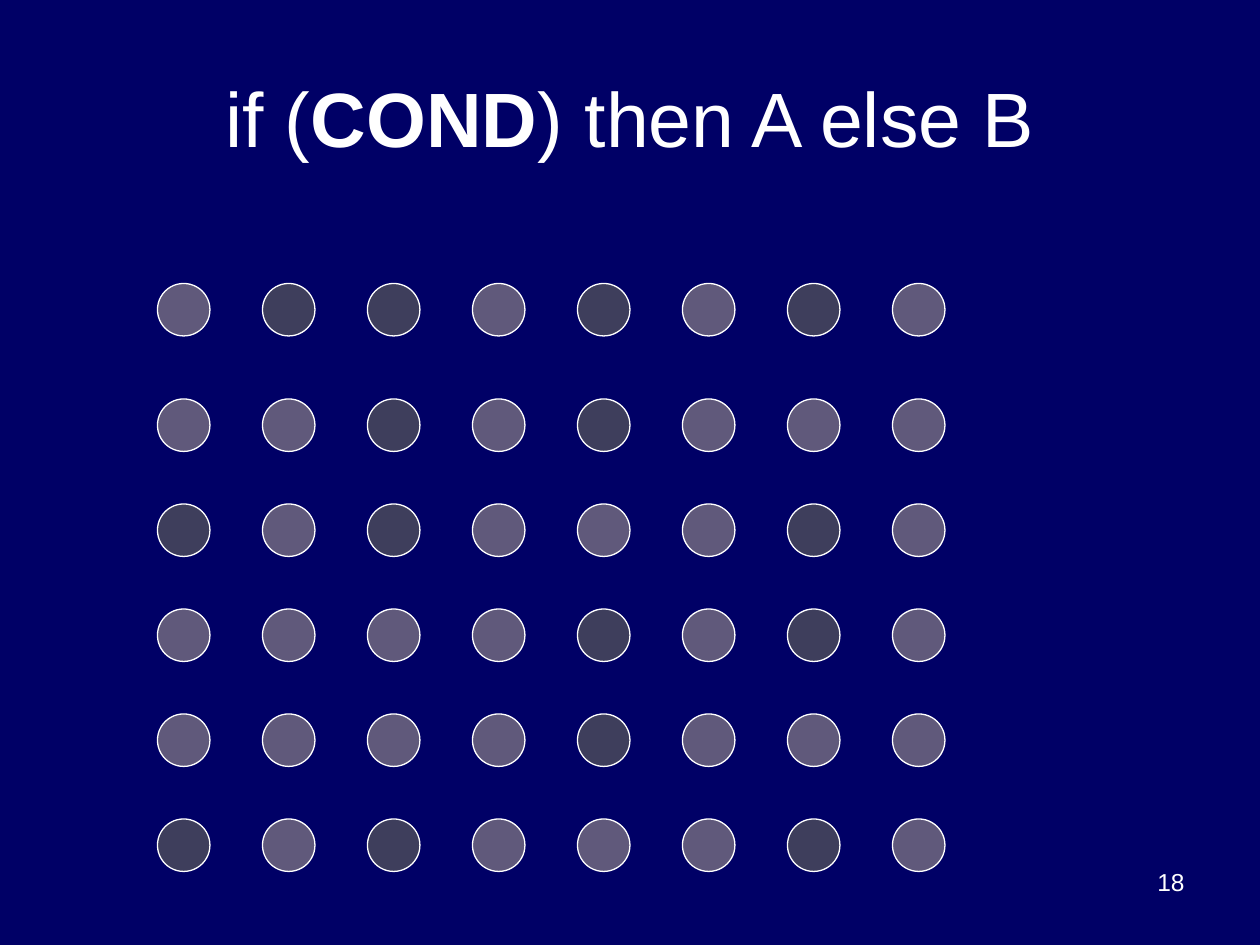
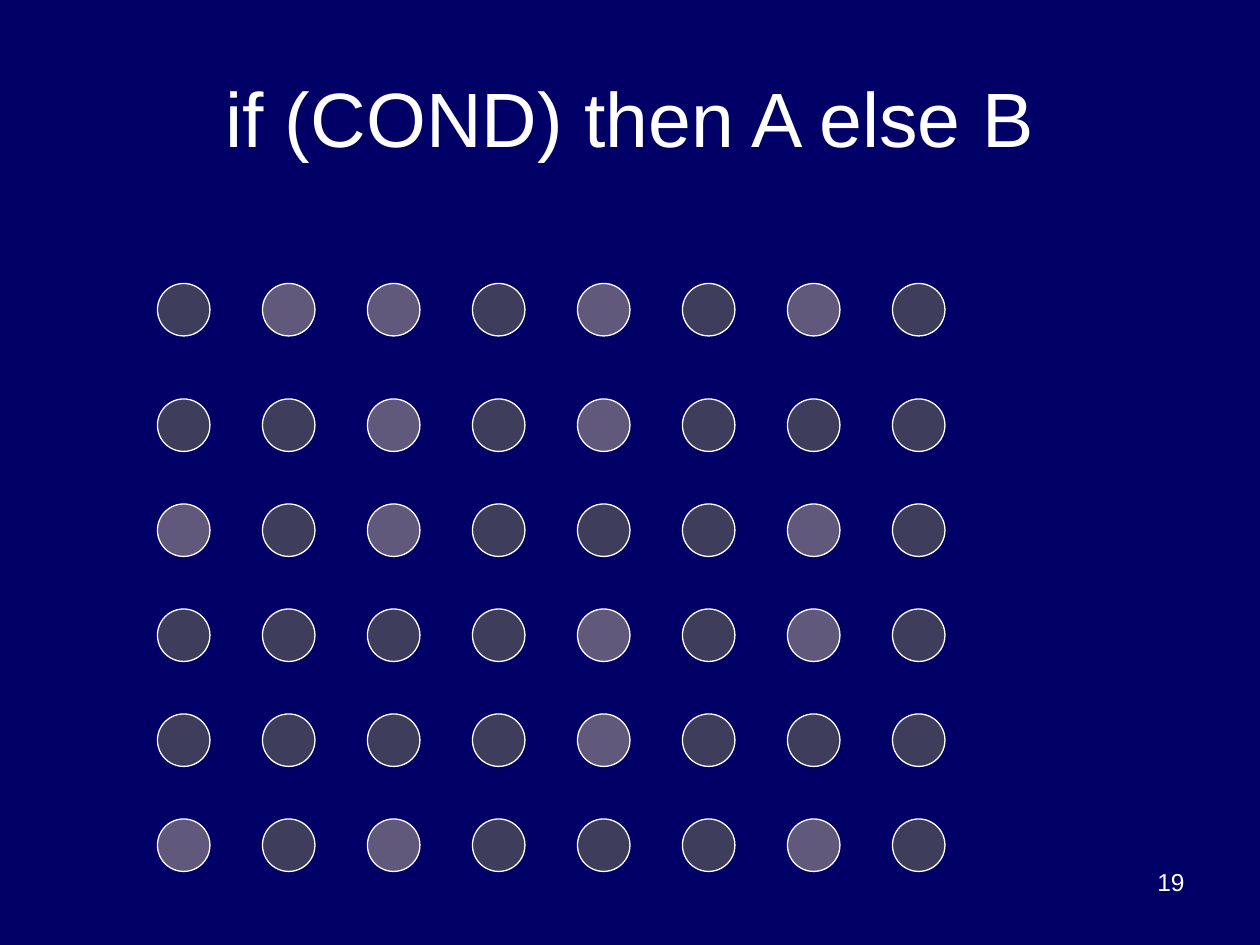
from pptx import Presentation
from pptx.dml.color import RGBColor
from pptx.enum.shapes import MSO_SHAPE
from pptx.enum.text import MSO_ANCHOR, MSO_AUTO_SIZE, PP_ALIGN
from pptx.util import Emu, Pt

OVAL = MSO_SHAPE.OVAL
MIDDLE, TOP = MSO_ANCHOR.MIDDLE, MSO_ANCHOR.TOP
NO_AUTOFIT = MSO_AUTO_SIZE.NONE
CENTER, RIGHT = PP_ALIGN.CENTER, PP_ALIGN.RIGHT

EMU_PER_PX = 7620  # 120 px to the inch
FONT = "Arial"
NAVY, WHITE = "000066", "FFFFFF"
LIGHT, DARK = "60597B", "3E3E5C"
TITLE_ONLY = 5

DOT_LEFT, DOT_SIZE, DOT_PITCH = 150, 50, 100
ROW_TOPS = [270, *range(380, 781, DOT_PITCH)]
CONDITION_ROWS = [
    ".##.#.#.",
    "..#.#...",
    "#.#...#.",
    "....#.#.",
    "....#...",
    "#.#...#.",
]


def px(length):
    return Emu(length * EMU_PER_PX)


def color(value):
    return RGBColor.from_string(value)


def write_text(shape, *runs, size, align, anchor=TOP):
    """Fill the shape with one paragraph of (text, bold) runs."""
    frame = shape.text_frame
    frame.word_wrap = True
    frame.auto_size = NO_AUTOFIT
    frame.vertical_anchor = anchor
    paragraph = frame.paragraphs[0]
    paragraph.alignment = align
    for text, bold in runs:
        run = paragraph.add_run()
        run.text = text
        run.font.name = FONT
        run.font.size = Pt(size)
        run.font.bold = bold
        run.font.color.rgb = color(WHITE)


def add_title(slide, *runs):
    title = slide.shapes.title
    title.left, title.top, title.width, title.height = map(px, (60, 36, 1080, 150))
    write_text(title, *runs, size=44, align=CENTER, anchor=MIDDLE)


def add_dot(shapes, left, top, fill):
    dot = shapes.add_shape(OVAL, px(left), px(top), px(DOT_SIZE), px(DOT_SIZE))
    dot.shadow.inherit = False
    dot.fill.solid()
    dot.fill.fore_color.rgb = color(fill)
    dot.line.color.rgb = color(WHITE)
    dot.line.width = Pt(0.75)


def add_dot_grid(slide, marked, unmarked):
    """Draw the grid, with marked as the fill where the rows hold '#'."""
    group = slide.shapes.add_group_shape()
    for top, row in zip(ROW_TOPS, CONDITION_ROWS):
        for column, mark in enumerate(row):
            fill = marked if mark == "#" else unmarked
            add_dot(group.shapes, DOT_LEFT + column * DOT_PITCH, top, fill)


def add_slide_number(slide, number):
    box = slide.shapes.add_textbox(px(860), px(820), px(280), px(62))
    write_text(box, (str(number), False), size=14, align=RIGHT)


def add_condition_slide(presentation, number, title_runs, marked, unmarked):
    slide = presentation.slides.add_slide(presentation.slide_layouts[TITLE_ONLY])
    add_title(slide, *title_runs)
    add_dot_grid(slide, marked, unmarked)
    add_slide_number(slide, number)


def main():
    presentation = Presentation()
    presentation.slide_width, presentation.slide_height = px(1200), px(900)
    background = presentation.slide_master.background.fill
    background.solid()
    background.fore_color.rgb = color(NAVY)

    bold_condition = [("if (", False), ("COND", True), (") then A else B", False)]
    plain_condition = [("if (COND) then A else B", False)]
    add_condition_slide(presentation, 18, bold_condition, DARK, LIGHT)
    add_condition_slide(presentation, 19, plain_condition, LIGHT, DARK)
    presentation.save("out.pptx")


if __name__ == "__main__":
    main()
